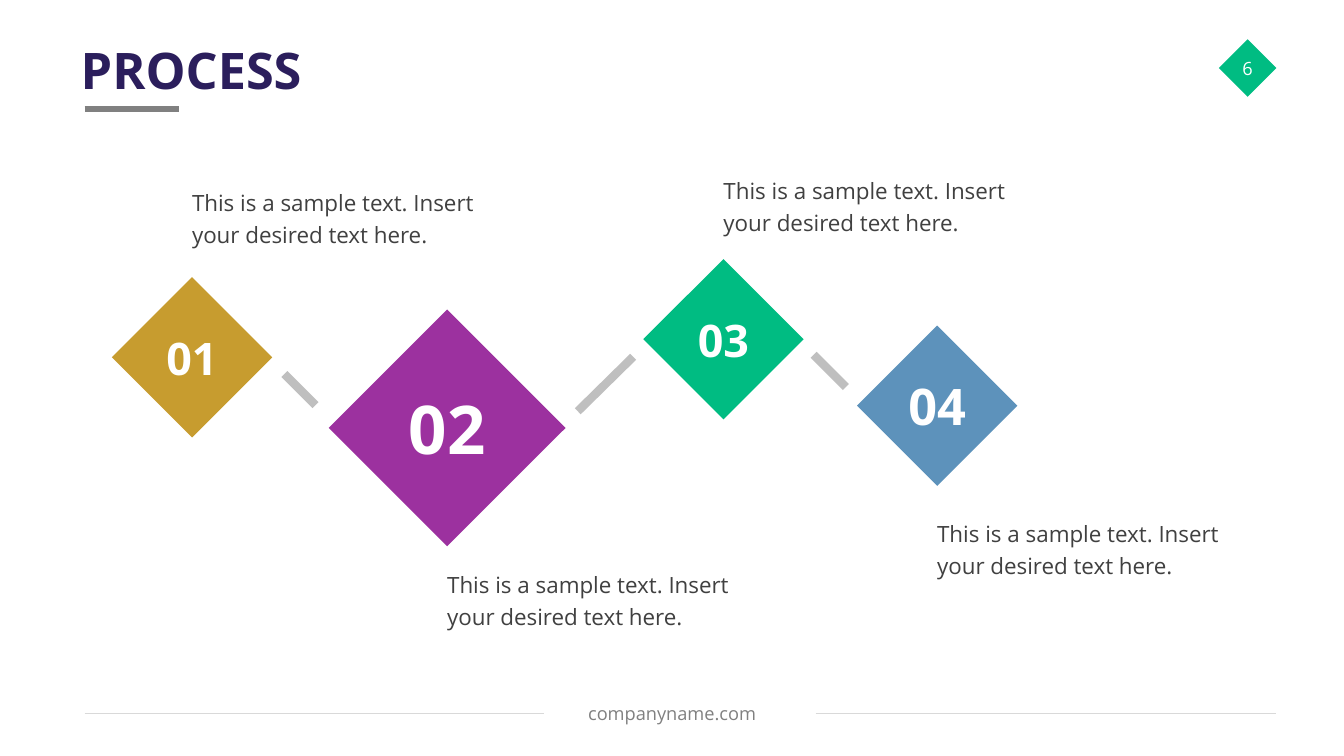
from pptx import Presentation
from pptx.dml.color import RGBColor
from pptx.enum.shapes import MSO_CONNECTOR, MSO_SHAPE
from pptx.enum.text import MSO_ANCHOR, PP_ALIGN
from pptx.oxml import parse_xml
from pptx.oxml.ns import nsdecls
from pptx.util import Inches, Pt

COLORS = {
    "navy": "2B1E5C", "gold": "C79C2F", "purple": "9C319F",
    "green": "00BC82", "blue": "5D92BB", "white": "FFFFFF",
    "body": "404040", "muted": "808080", "link": "BFBFBF", "hairline": "D9D9D9",
}
SAMPLE = "This is a sample text. Insert your desired text here."
CAPTION_WIDTH, CAPTION_HEIGHT = 22.58, 9.6
SMALL, LARGE = 11.93, 17.63

# number, centre x, centre y, size, colour, font size, caption top
STEPS = [
    ("01", 14.29, 47.27, SMALL, "gold", 32, 23.6),
    ("02", 33.27, 56.6, LARGE, "purple", 48, 74.13),
    ("03", 53.83, 44.87, SMALL, "green", 32, 22),
    ("04", 69.73, 53.67, SMALL, "blue", 36, 67.47),
]
LINKS = [
    (21.16, 49.47, 23.48, 53.6),
    (42.99, 54.4, 47.11, 47.2),
    (60.54, 46.93, 62.94, 51.2),
]


class ProcessSlide:
    """Draws on one slide; lengths are percentages of its width and height."""

    font = "Open Sans"

    def __init__(self, deck):
        self.width, self.height = deck.slide_width, deck.slide_height
        self.slide = deck.slides.add_slide(deck.slide_layouts[6])

    def x(self, share):
        return round(self.width * share / 100)

    def y(self, share):
        return round(self.height * share / 100)

    def color(self, name):
        return RGBColor.from_string(COLORS[name])

    def fill_frame(self, frame, wording, size, color, bold=False, align=PP_ALIGN.LEFT,
                   anchor=MSO_ANCHOR.MIDDLE, insets=(0, 0), spacing=1.0):
        frame.word_wrap = True
        frame.vertical_anchor = anchor
        frame.margin_left = frame.margin_right = Inches(insets[0])
        frame.margin_top = frame.margin_bottom = Inches(insets[1])
        paragraph = frame.paragraphs[0]
        paragraph.alignment = align
        paragraph.line_spacing = spacing
        run = paragraph.add_run()
        run.text = wording
        run.font.name, run.font.size, run.font.bold = self.font, Pt(size), bold
        run.font.color.rgb = self.color(color)

    def text(self, left, top, width, height, wording, size, color, **style):
        box = self.slide.shapes.add_textbox(
            self.x(left), self.y(top), self.x(width), self.y(height))
        self.fill_frame(box.text_frame, wording, size, color, **style)

    def diamond(self, center_x, center_y, side, fill, number, size, bold=True):
        """Place a diamond by its centre; side is a share of the slide width."""
        extent = self.x(side)
        diamond = self.slide.shapes.add_shape(
            MSO_SHAPE.DIAMOND, self.x(center_x) - extent // 2,
            self.y(center_y) - extent // 2, extent, extent)
        diamond.shadow.inherit = False
        diamond.fill.solid()
        diamond.fill.fore_color.rgb = self.color(fill)
        diamond.line.fill.background()
        self.fill_frame(diamond.text_frame, number, size, "white", bold,
                        PP_ALIGN.CENTER)

    def line(self, x1, y1, x2, y2, color, weight):
        line = self.slide.shapes.add_connector(
            MSO_CONNECTOR.STRAIGHT, self.x(x1), self.y(y1), self.x(x2), self.y(y2))
        line.line.color.rgb = self.color(color)
        line.line.width = Pt(weight)
        line._element.spPr.append(parse_xml(f"<a:effectLst {nsdecls('a')}/>"))


def main():
    deck = Presentation()
    deck.slide_width, deck.slide_height = Inches(13.33), Inches(7.5)
    process = ProcessSlide(deck)

    process.line(6.3, 14.4, 13.35, 14.4, "muted", 4.5)
    process.text(5.03, 4, 90.02, 10.4, "PROCESS", 36, "navy", bold=True,
                 insets=(0.13, 0.07))
    process.diamond(92.83, 9, 4.28, "green", "6", 13, bold=False)

    for start, end in ((6.3, 40.51), (60.69, 94.97)):
        process.line(start, 94.4, end, 94.4, "hairline", 0.75)
    process.text(29.03, 91.73, 41.94, 5.33, "companyname.com", 13, "muted",
                 align=PP_ALIGN.CENTER, insets=(0.13, 0.07))

    for number, center_x, center_y, side, fill, size, caption_top in STEPS:
        process.diamond(center_x, center_y, side, fill, number, size)
        process.text(center_x, caption_top, CAPTION_WIDTH, CAPTION_HEIGHT, SAMPLE,
                     16, "body", anchor=MSO_ANCHOR.TOP, insets=(0, 0.05), spacing=1.2)
    for link in LINKS:
        process.line(*link, "link", 6)

    deck.save("out.pptx")


if __name__ == "__main__":
    main()
